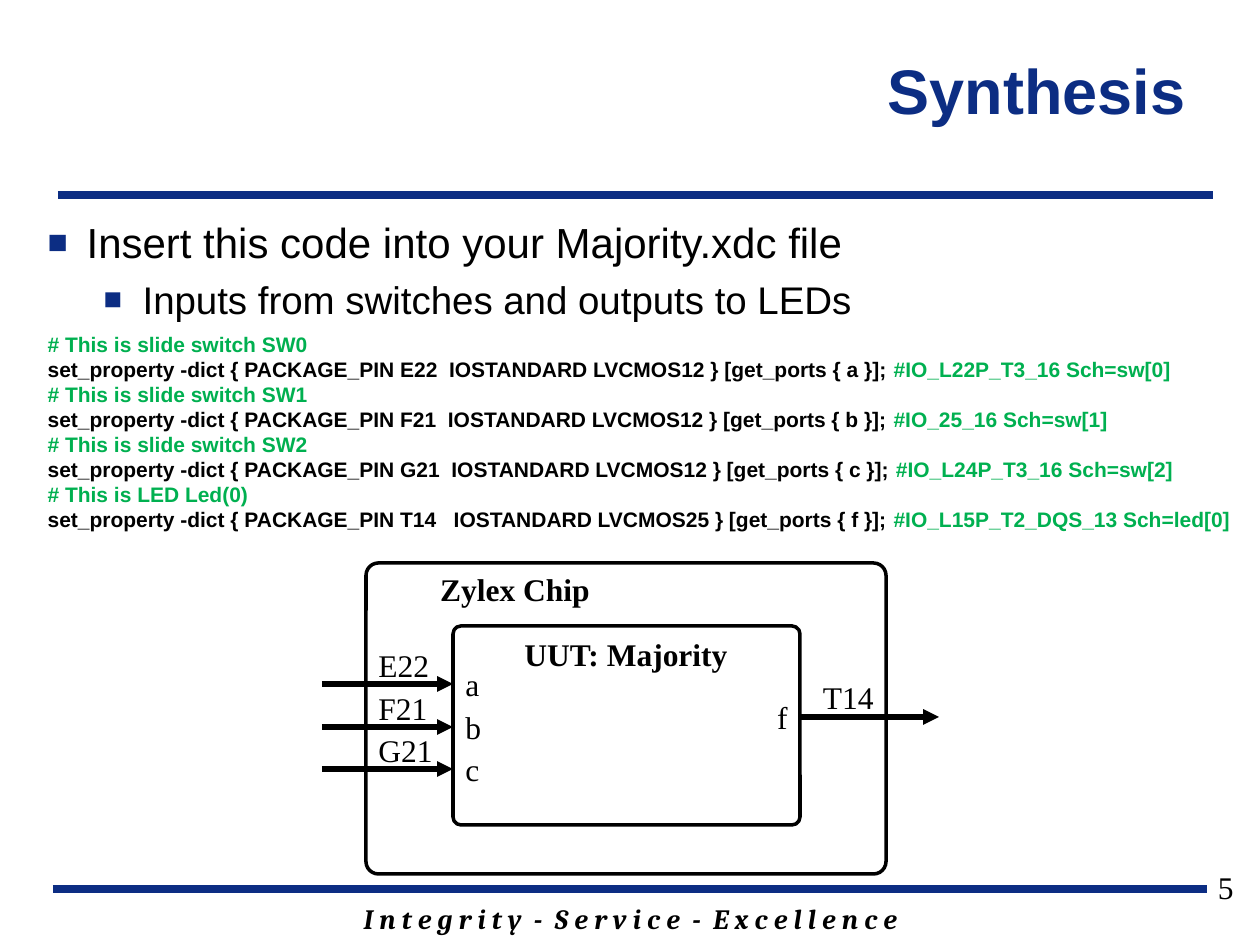
from dataclasses import dataclass

from lxml import etree
from pptx import Presentation
from pptx import util as u
from pptx.dml.color import RGBColor
from pptx.enum import shapes, text
from pptx.oxml.ns import qn

PX = 914400 / 126
NAVY, BLACK, GREEN = "0C2D83", "000000", "00B050"
SANS, SERIF = "Arial", "Times New Roman"
LEFT, CENTER, RIGHT = text.PP_ALIGN.LEFT, text.PP_ALIGN.CENTER, text.PP_ALIGN.RIGHT
LABEL_HEIGHT = 50


@dataclass(frozen=True)
class Box:
    left: int
    top: int
    width: int
    height: int

    def emu(self) -> list[u.Emu]:
        return [px(n) for n in (self.left, self.top, self.width, self.height)]


@dataclass(frozen=True)
class Signal:
    port: str
    pin: str
    y: int


@dataclass(frozen=True)
class Constraint:
    remark: str
    command: str
    site: str


INPUTS = [Signal("a", "E22", 684), Signal("b", "F21", 727), Signal("c", "G21", 769)]
OUTPUT = Signal("f", "T14", 717)

CONSTRAINTS = [
    Constraint("# This is slide switch SW0",
               "set_property -dict { PACKAGE_PIN E22  IOSTANDARD LVCMOS12 } [get_ports { a }]; ",
               "#IO_L22P_T3_16 Sch=sw[0]"),
    Constraint("# This is slide switch SW1",
               "set_property -dict { PACKAGE_PIN F21  IOSTANDARD LVCMOS12 } [get_ports { b }]; ",
               "#IO_25_16 Sch=sw[1]"),
    Constraint("# This is slide switch SW2",
               "set_property -dict { PACKAGE_PIN G21  IOSTANDARD LVCMOS12 } [get_ports { c }]; ",
               "#IO_L24P_T3_16 Sch=sw[2]"),
    Constraint("# This is LED Led(0)",
               "set_property -dict { PACKAGE_PIN T14   IOSTANDARD LVCMOS25 } [get_ports { f }]; ",
               "#IO_L15P_T2_DQS_13 Sch=led[0]"),
]


def px(n: int) -> u.Emu:
    return u.Emu(round(n * PX))


def color(value: str) -> RGBColor:
    return RGBColor.from_string(value)


def style(run, size: int, font: str = SERIF, fill: str = BLACK,
          bold: bool = False, italic: bool = False) -> None:
    run.font.size, run.font.name = u.Pt(size), font
    run.font.bold, run.font.italic = bold, italic
    run.font.color.rgb = color(fill)


def place(shape, box: Box) -> None:
    shape.left, shape.top, shape.width, shape.height = box.emu()


def add_label(slide, box: Box, words: str, align=LEFT, size: int = 18, **look) -> None:
    frame = slide.shapes.add_textbox(*box.emu()).text_frame
    frame.word_wrap = True
    frame.text = words
    frame.paragraphs[0].alignment = align
    style(frame.paragraphs[0].runs[0], size, **look)


def add_rule(slide, left: int, right: int, y: int, fill: str, width: float, arrow: bool = False) -> None:
    rule = slide.shapes.add_connector(shapes.MSO_CONNECTOR.STRAIGHT, px(left), px(y), px(right), px(y))
    rule.line.color.rgb = color(fill)
    rule.line.width = u.Pt(width)
    if arrow:
        etree.SubElement(rule.line._get_or_add_ln(), qn("a:tailEnd"), type="triangle")
    etree.SubElement(rule._element.spPr, qn("a:effectLst"))


def add_block(slide, box: Box) -> None:
    block = slide.shapes.add_shape(shapes.MSO_SHAPE.ROUNDED_RECTANGLE, *box.emu())
    block.adjustments[0] = 0.04
    block.fill.background()
    block.line.color.rgb = color(BLACK)
    block.line.width = u.Pt(2)
    block.shadow.inherit = False


def set_bullet(paragraph, margin: int, hanging: int, mark: str = "") -> None:
    """Set the indents in px and the square mark; no mark removes the bullet."""
    props = paragraph._p.get_or_add_pPr()
    props.set("marL", str(px(margin)))
    props.set("indent", str(-px(hanging)))
    if not mark:
        etree.SubElement(props, qn("a:buNone"))
        return
    tint = etree.SubElement(props, qn("a:buClr"))
    etree.SubElement(tint, qn("a:srgbClr"), val=NAVY)
    etree.SubElement(props, qn("a:buSzPct"), val="80000")
    etree.SubElement(props, qn("a:buFont"), typeface=SANS)
    etree.SubElement(props, qn("a:buChar"), char=mark)


def add_code_line(frame, parts: list[tuple[str, str]], before: float) -> None:
    line = frame.add_paragraph()
    line.line_spacing, line.space_before = 0.8, u.Pt(before)
    set_bullet(line, 0, 0)
    for words, fill in parts:
        run = line.add_run()
        run.text = words
        style(run, 12, SANS, fill, bold=True)


def fill_title(title) -> None:
    place(title, Box(263, 10, 935, 158))
    title.text_frame.text = "Synthesis"
    title.text_frame.vertical_anchor = text.MSO_ANCHOR.MIDDLE
    heading = title.text_frame.paragraphs[0]
    heading.alignment = RIGHT
    style(heading.runs[0], 36, SANS, NAVY, bold=True)


def fill_body(body) -> None:
    place(body, Box(35, 210, 1225, 596))
    frame = body.text_frame
    frame.auto_size = text.MSO_AUTO_SIZE.NONE
    frame.text = "Insert this code into your Majority.xdc file\nInputs from switches and outputs to LEDs"
    for level, (point, size, margin) in enumerate(zip(frame.paragraphs, (24, 22), (39, 95))):
        point.level = level
        point.space_before = u.Pt(0.23 * size)
        set_bullet(point, margin, 39, "■")
        style(point.runs[0], size, SANS)
    for index, item in enumerate(CONSTRAINTS):
        add_code_line(frame, [(item.remark, GREEN)], 2.8 if index else 8.3)
        add_code_line(frame, [(item.command, BLACK), (item.site, GREEN)], 2.8)


def draw_chip(slide) -> None:
    add_block(slide, Box(366, 563, 520, 311))
    add_label(slide, Box(384, 564, 262, LABEL_HEIGHT), "Zylex Chip", CENTER, bold=True)
    add_block(slide, Box(453, 626, 347, 199))
    add_label(slide, Box(495, 629, 262, LABEL_HEIGHT), "UUT: Majority", CENTER, bold=True)
    for signal in INPUTS:
        add_rule(slide, 322, 453, signal.y, BLACK, 3, arrow=True)
        add_label(slide, Box(453, signal.y - 25, 105, LABEL_HEIGHT), signal.port)
        add_label(slide, Box(366, signal.y - 44, 95, LABEL_HEIGHT), signal.pin)
    add_rule(slide, 800, 939, OUTPUT.y, BLACK, 3, arrow=True)
    add_label(slide, Box(757, OUTPUT.y - 25, 43, LABEL_HEIGHT), OUTPUT.port, RIGHT)
    add_label(slide, Box(791, OUTPUT.y - 45, 95, LABEL_HEIGHT), OUTPUT.pin, RIGHT)


def main() -> None:
    deck = Presentation()
    deck.slide_width, deck.slide_height = px(1260), px(945)
    slide = deck.slides.add_slide(deck.slide_layouts[1])
    add_rule(slide, 53, 1207, 889, NAVY, 4.5)
    add_rule(slide, 58, 1213, 195, NAVY, 4.5)
    add_label(slide, Box(179, 895, 903, 47), "I n t e g r i t y  -  S e r v i c e  -  E x c e l l e n c e",
              CENTER, 16, font="Cambria", bold=True, italic=True)
    fill_title(slide.shapes.title)
    fill_body(slide.placeholders[1])
    add_label(slide, Box(953, 862, 293, 65), "5", RIGHT)
    draw_chip(slide)
    deck.save("out.pptx")


if __name__ == "__main__":
    main()
